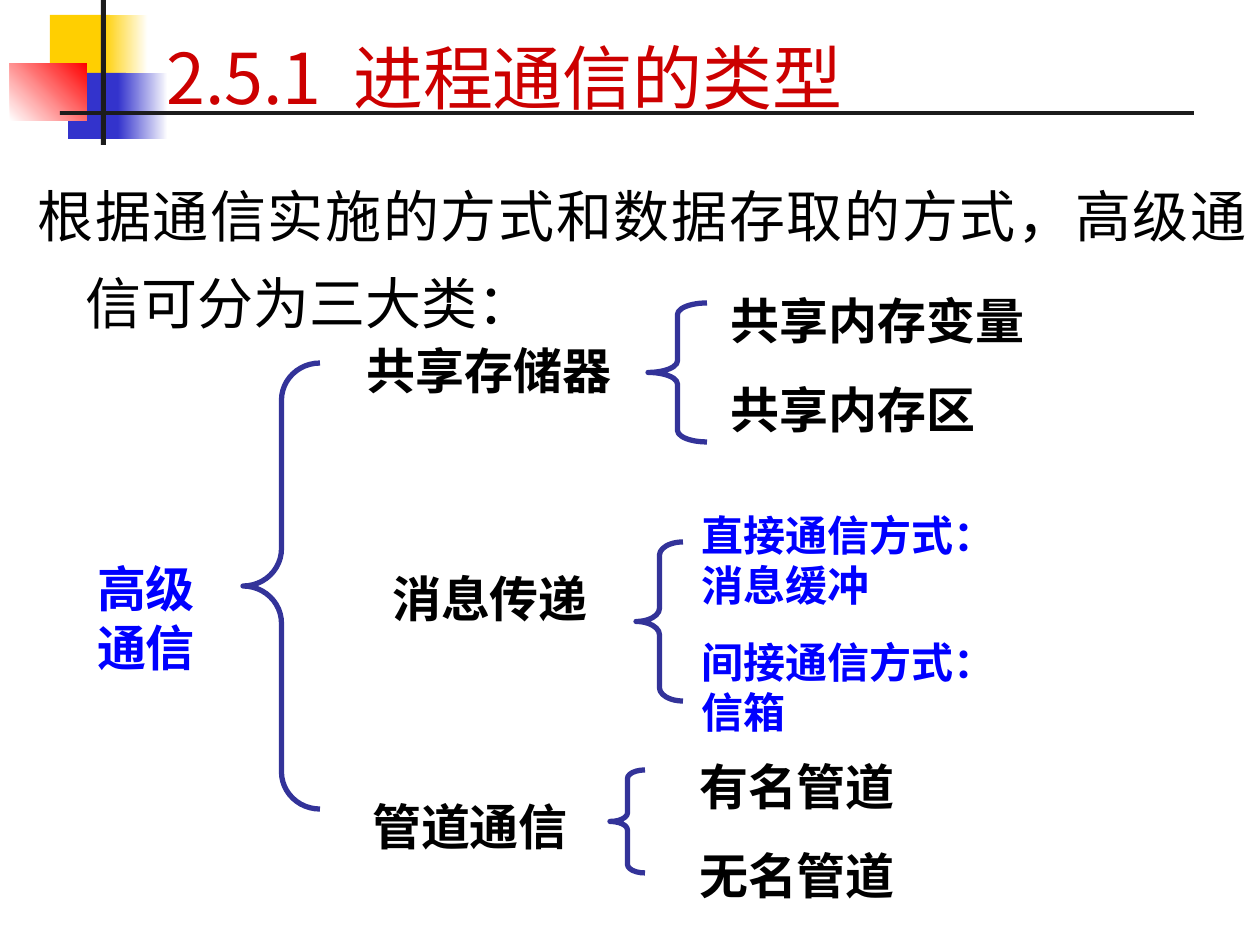
from dataclasses import dataclass
from typing import Optional

from pptx import Presentation
from pptx.dml.color import RGBColor
from pptx.enum.shapes import MSO_SHAPE
from pptx.enum.text import MSO_ANCHOR, MSO_AUTO_SIZE, PP_ALIGN
from pptx.oxml.ns import qn
from pptx.util import Pt

EMU_PER_PX = 914400 / 126
BLACK, BLUE, RED, WHITE = "000000", "0000FF", "CC0000", "FFFFFF"
YELLOW, INDIGO, DARK, BRACE_COLOR = "FFCF01", "3333CC", "1C1C1C", "333399"
LATIN, CJK = "Roboto", "Noto Sans CJK SC"


@dataclass(frozen=True)
class Box:
    left: int
    top: int
    width: int
    height: int


@dataclass(frozen=True)
class Block:
    box: Box
    color: str
    fade_to: Optional[str] = None
    angle: int = 0


@dataclass(frozen=True)
class Label:
    box: Box
    lines: tuple[str, ...]
    color: str = BLACK
    size: int = 28
    align: PP_ALIGN = PP_ALIGN.CENTER


DECORATION = (
    Block(Box(50, 15, 60, 66), YELLOW),
    Block(Box(103, 15, 45, 66), YELLOW, WHITE),
    Block(Box(68, 73, 58, 66), INDIGO),
    Block(Box(118, 73, 50, 66), INDIGO, WHITE),
    Block(Box(10, 63, 77, 58), WHITE, "FF0000", 45),
    Block(Box(101, 0, 5, 145), DARK),
    Block(Box(60, 111, 1134, 4), DARK),
)
BRACES = (
    Box(243, 363, 77, 446),
    Box(636, 542, 47, 159),
    Box(610, 770, 35, 103),
    Box(648, 303, 59, 139),
)
LABELS = (
    Label(Box(343, 562, 294, 72), ("消息传递",)),
    Label(Box(319, 334, 340, 72), ("共享存储器",)),
    Label(Box(650, 750, 294, 161), ("有名管道", "无名管道")),
    Label(Box(323, 790, 294, 72), ("管道通信",)),
    Label(Box(689, 503, 294, 241),
          ("直接通信方式：消息缓冲", "间接通信方式：信箱"), BLUE, 24, PP_ALIGN.LEFT),
    Label(Box(718, 284, 398, 161), ("共享内存变量", "共享内存区"), align=PP_ALIGN.LEFT),
    Label(Box(64, 552, 164, 131), ("高级通信",), BLUE),
)


def px(length: int) -> int:
    return round(length * EMU_PER_PX)


def rgb(color: str) -> RGBColor:
    return RGBColor.from_string(color)


def place(box: Box) -> tuple[int, ...]:
    return tuple(px(n) for n in (box.left, box.top, box.width, box.height))


def apply(target, formats: dict) -> None:
    for attribute, value in formats.items():
        setattr(target, attribute, value)


def add_block(slide, block: Block) -> None:
    rect = slide.shapes.add_shape(MSO_SHAPE.RECTANGLE, *place(block.box))
    rect.shadow.inherit = False
    rect.line.fill.background()
    if block.fade_to is None:
        rect.fill.solid()
        rect.fill.fore_color.rgb = rgb(block.color)
        return
    rect.fill.gradient()
    rect.fill.gradient_angle = block.angle
    for stop, color in zip(rect.fill.gradient_stops, (block.color, block.fade_to)):
        stop.color.rgb = rgb(color)


def add_brace(slide, box: Box) -> None:
    """Draw a left brace whose curls each take a twelfth of its height."""
    brace = slide.shapes.add_shape(MSO_SHAPE.LEFT_BRACE, *place(box))
    brace.shadow.inherit = False
    brace.fill.background()
    brace.line.color.rgb = rgb(BRACE_COLOR)
    brace.line.width = Pt(3)
    brace.adjustments[0] = box.height / (12 * box.width)


def add_frame(slide, box: Box, **formats):
    frame = slide.shapes.add_textbox(*place(box)).text_frame
    apply(frame, {"word_wrap": True, **formats})
    return frame


def add_run(paragraph, text: str, color: str, size: int,
            font: str = LATIN, bold: bool = False):
    run = paragraph.add_run()
    run.text = text
    apply(run.font, {"name": font, "size": Pt(size), "bold": bold})
    run.font.color.rgb = rgb(color)
    properties = run.font._element
    east_asian = properties.makeelement(qn("a:ea"), {"typeface": font})
    properties.find(qn("a:latin")).addnext(east_asian)
    return run


def add_label(slide, label: Label) -> None:
    frame = add_frame(slide, label.box, auto_size=MSO_AUTO_SIZE.SHAPE_TO_FIT_TEXT)
    for index, line in enumerate(label.lines):
        paragraph = frame.add_paragraph() if index else frame.paragraphs[0]
        space = Pt(label.size * 0.625) if index else Pt(0)
        apply(paragraph, {"alignment": label.align, "space_before": space})
        add_run(paragraph, line, label.color, label.size, bold=True)


def add_title(slide) -> None:
    frame = add_frame(slide, Box(154, 26, 1040, 99), vertical_anchor=MSO_ANCHOR.BOTTOM)
    number, gap, heading = (add_run(frame.paragraphs[0], text, RED, 40, CJK)
                            for text in ("2.5.1", " ", "进程通信的类型"))
    gap.font._element.set("spc", "900")


def add_introduction(slide) -> None:
    paragraph = add_frame(slide, Box(25, 155, 1235, 417)).paragraphs[0]
    apply(paragraph, {"alignment": PP_ALIGN.JUSTIFY, "line_spacing": 1.3})
    indent = px(48)
    properties = paragraph._p.get_or_add_pPr()
    properties.set("marL", str(indent))
    properties.set("indent", str(-indent))
    add_run(paragraph, "根据通信实施的方式和数据存取的方式，高级通信可分为三大类：", BLACK, 32)


def main() -> None:
    presentation = Presentation()
    apply(presentation, {"slide_width": px(1260), "slide_height": px(945)})
    slide = presentation.slides.add_slide(presentation.slide_layouts[6])
    for block in DECORATION:
        add_block(slide, block)
    add_title(slide)
    add_introduction(slide)
    for brace in BRACES:
        add_brace(slide, brace)
    for label in LABELS:
        add_label(slide, label)
    presentation.save("out.pptx")


if __name__ == "__main__":
    main()
